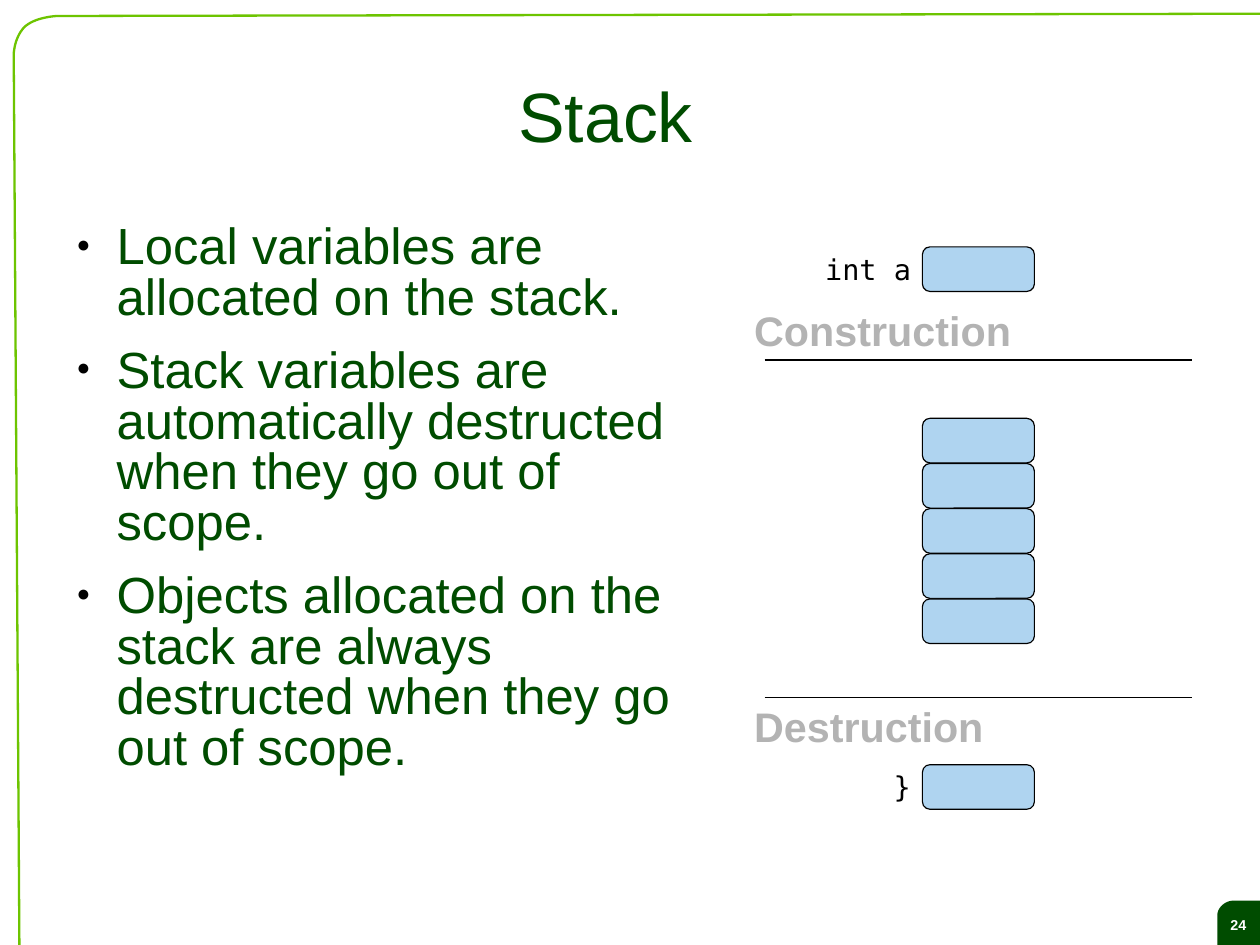
import pptx
import pptx.util
import pptx.dml.color
import pptx.enum.shapes
import pptx.enum.text
import pptx.oxml
import pptx.oxml.ns
from dataclasses import dataclass

Inches = pptx.util.Inches
Pt = pptx.util.Pt
Align = pptx.enum.text.PP_ALIGN
Anchor = pptx.enum.text.MSO_ANCHOR


@dataclass(frozen=True)
class Theme:
    green: str = "004C00"
    lime: str = "6DC400"
    blue: str = "AFD4F0"
    gray: str = "B3B3B3"
    black: str = "000000"
    white: str = "FFFFFF"
    sans: str = "Arial"
    mono: str = "DejaVu Sans Mono"
    title: float = 44
    body: float = 32
    label: float = 26
    code: float = 18
    page: float = 9
    thin: float = 0.75
    frame: float = 1.45


THEME = Theme()
WIDTH, HEIGHT = 28 / 2.54, 21 / 2.54


def rgb(color):
    return pptx.dml.color.RGBColor.from_string(color)


def paint(shape, fill=None, line=None, weight=THEME.thin):
    shape.shadow.inherit = False
    if fill:
        shape.fill.solid()
        shape.fill.fore_color.rgb = rgb(fill)
    else:
        shape.fill.background()
    if line:
        shape.line.color.rgb = rgb(line)
        shape.line.width = Pt(weight)
    else:
        shape.line.fill.background()


def add_bullet(para):
    props = para._p.get_or_add_pPr()
    props.set("marL", str(Inches(0.47)))
    props.set("indent", str(Inches(-0.35)))
    space = pptx.oxml.ns.nsdecls("a")
    for xml in (
        f'<a:buClr {space}><a:srgbClr val="{THEME.black}"/></a:buClr>',
        f'<a:buSzPct {space} val="45000"/>',
        f'<a:buFont {space} typeface="{THEME.sans}"/>',
        f'<a:buChar {space} char="●"/>',
    ):
        props.append(pptx.oxml.parse_xml(xml))


def add_text(slide, text, box, size, color, font=THEME.sans, bold=False,
             align=Align.LEFT, anchor=Anchor.TOP, inset=(0, 0, 0, 0),
             wrap=True, space=0.93, after=0, bullet=False):
    frame = slide.shapes.add_textbox(*map(Inches, box)).text_frame
    frame.word_wrap = wrap
    frame.vertical_anchor = anchor
    (frame.margin_left, frame.margin_top,
     frame.margin_right, frame.margin_bottom) = map(Inches, inset)
    for num, line in enumerate(text.split("\n")):
        para = frame.add_paragraph() if num else frame.paragraphs[0]
        if bullet:
            add_bullet(para)
        para.alignment = align
        para.line_spacing = space
        para.space_after = Pt(after)
        run = para.add_run()
        run.text = line
        run.font.size = Pt(size)
        run.font.name = font
        run.font.bold = bold
        run.font.color.rgb = rgb(color)


def curve(start, one, two, end, steps=16):
    points = []
    for num in range(steps + 1):
        t = num / steps
        u = 1 - t
        points.append(tuple(
            u**3 * a + 3 * u * u * t * b + 3 * u * t * t * c + t**3 * d
            for a, b, c, d in zip(start, one, two, end)))
    return points


def add_path(slide, points, close, **style):
    spots = [(Inches(x), Inches(y)) for x, y in points]
    path = slide.shapes.build_freeform(*spots[0])
    path.add_line_segments(spots[1:], close=close)
    paint(path.convert_to_shape(), **style)


def add_cell(slide, top):
    kind = pptx.enum.shapes.MSO_SHAPE.ROUNDED_RECTANGLE
    cell = slide.shapes.add_shape(
        kind, Inches(8.07), Inches(top), Inches(0.98), Inches(0.39))
    cell.adjustments[0] = 0.17
    paint(cell, THEME.blue, THEME.black)


def add_rule(slide, top):
    kind = pptx.enum.shapes.MSO_CONNECTOR.STRAIGHT
    rule = slide.shapes.add_connector(
        kind, Inches(6.69), Inches(top), Inches(10.43), Inches(top))
    rule.line.color.rgb = rgb(THEME.black)
    rule.line.width = Pt(THEME.thin)
    space = pptx.oxml.ns.nsdecls("a")
    rule._element.spPr.append(
        pptx.oxml.parse_xml(f"<a:effectLst {space}/>"))


def add_frame(slide):
    badge = [(WIDTH, 7.88)]
    badge += curve((10.79, 7.88), (10.72, 7.88), (10.65, 7.94), (10.65, 8.01))
    badge += [(10.65, HEIGHT), (WIDTH, HEIGHT)]
    add_path(slide, badge, True, fill=THEME.green)
    add_text(slide, "24", (10.65, 7.92, 0.37, 0.35), THEME.page, THEME.white,
             bold=True, align=Align.CENTER, anchor=Anchor.MIDDLE)
    edge = [(0.17, HEIGHT)]
    edge += curve((0.12, 0.48), (0.12, 0.48), (0.12, 0.34), (0.21, 0.24))
    edge += curve((0.21, 0.24), (0.3, 0.15), (0.49, 0.14), (0.5, 0.14))[1:]
    edge += [(WIDTH, 0.12)]
    add_path(slide, edge, False, line=THEME.lime, weight=THEME.frame)


def main():
    deck = pptx.Presentation()
    deck.slide_width, deck.slide_height = Inches(WIDTH), Inches(HEIGHT)
    slide = deck.slides.add_slide(deck.slide_layouts[6])
    add_frame(slide)

    add_text(slide, "Stack", (1.72, 0.33, 7.16, 1.38), THEME.title,
             THEME.green, align=Align.CENTER, anchor=Anchor.MIDDLE,
             inset=(0, 0.04, 0, 0))
    points = (
        "Local variables are allocated on the stack.",
        "Stack variables are automatically destructed when they go out of scope.",
        "Objects allocated on the stack are always destructed when they go out of scope.",
    )
    add_text(slide, "\n".join(points), (0.55, 1.93, 5.55, 5.38), THEME.body,
             THEME.green, inset=(0, 0.03, 0, 0), space=0.83, after=14.3,
             bullet=True)

    stack = [3.66 + 1.58 * num / 4 for num in range(5)]
    for top in (2.16, *stack, 6.69):
        add_cell(slide, top)
    for text, box in (("int a", (7.12, 2.16, 0.95, 0.39)),
                      ("}", (7.72, 6.68, 0.35, 0.39))):
        add_text(slide, text, box, THEME.code, THEME.black, font=THEME.mono,
                 inset=(0.1, 0.06, 0.1, 0.05), wrap=False, space=0.98)

    for top in (3.15, 6.1):
        add_rule(slide, top)
    for text, box in (("Construction", (6.5, 2.64, 2.45, 0.5)),
                      ("Destruction", (6.5, 6.1, 2.21, 0.5))):
        add_text(slide, text, box, THEME.label, THEME.gray, bold=True,
                 inset=(0.1, 0.07, 0.1, 0.05), wrap=False)

    deck.save("out.pptx")


if __name__ == "__main__":
    main()
